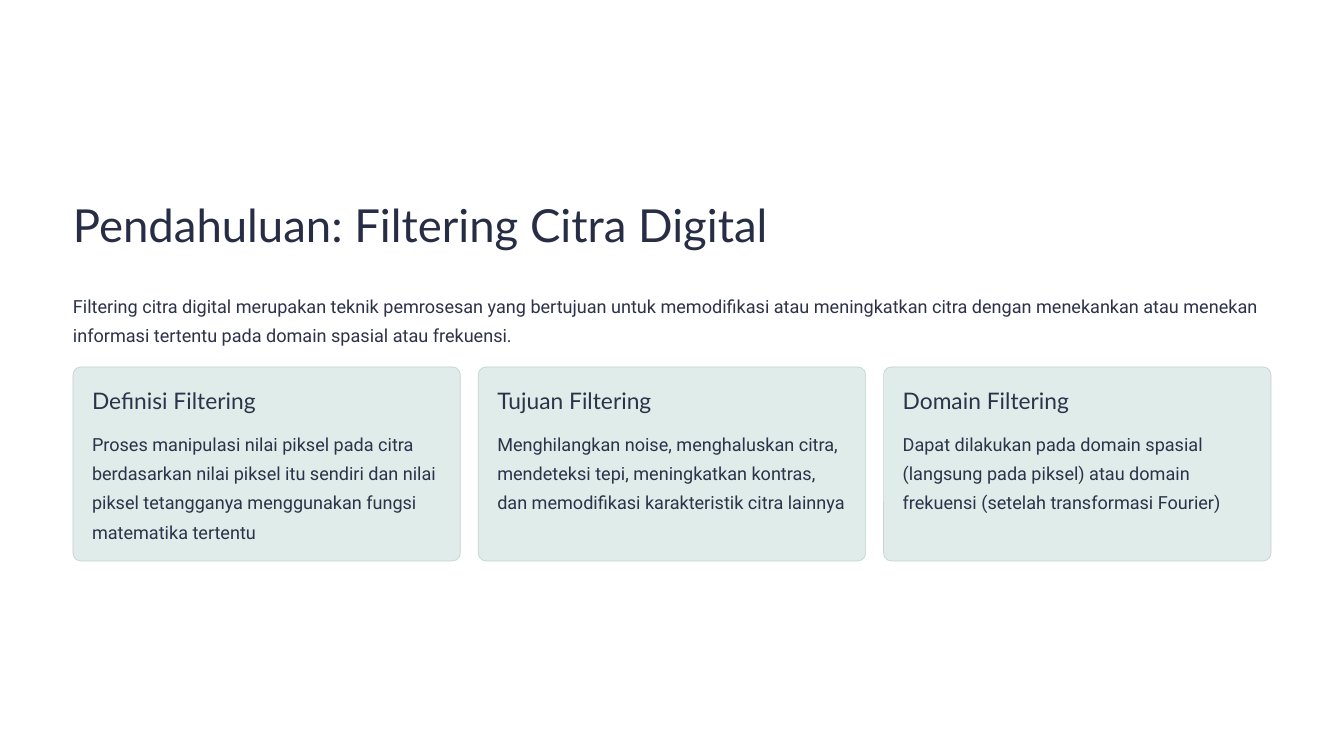
from pptx import Presentation
from pptx.dml.color import RGBColor
from pptx.enum.shapes import MSO_SHAPE
from pptx.enum.text import MSO_ANCHOR, MSO_AUTO_SIZE, PP_ALIGN
from pptx.util import Pt

ROUNDED = MSO_SHAPE.ROUNDED_RECTANGLE
TOP, NO_FIT, LEFT = MSO_ANCHOR.TOP, MSO_AUTO_SIZE.NONE, PP_ALIGN.LEFT
TITLE_ONLY = 5
EMU_PER_PX = 914400 / 84

INK = "2C3249"
CARDS = [
    ("Definisi Filtering",
     "Proses manipulasi nilai piksel pada citra berdasarkan nilai piksel itu sendiri "
     "dan nilai piksel tetangganya menggunakan fungsi matematika tertentu"),
    ("Tujuan Filtering",
     "Menghilangkan noise, menghaluskan citra, mendeteksi tepi, meningkatkan kontras, "
     "dan memodifikasi karakteristik citra lainnya"),
    ("Domain Filtering",
     "Dapat dilakukan pada domain spasial (langsung pada piksel) atau domain frekuensi "
     "(setelah transformasi Fourier)"),
]


def px(length):
    return round(length * EMU_PER_PX)


def color(value):
    return RGBColor.from_string(value)


def write(shape, text, font="Roboto", size=15.5, spacing=25, ink=INK):
    frame = shape.text_frame
    frame.word_wrap = True
    frame.auto_size = NO_FIT
    frame.vertical_anchor = TOP
    frame.margin_left = frame.margin_top = frame.margin_right = frame.margin_bottom = 0
    frame.text = text
    paragraph = frame.paragraphs[0]
    paragraph.alignment = LEFT
    paragraph.line_spacing = Pt(spacing)
    paragraph.space_before = Pt(0)
    run_font = paragraph.runs[0].font
    run_font.name, run_font.size = font, Pt(size)
    run_font.color.rgb = color(ink)


def add_text(slide, left, top, width, height, text, **style):
    box = slide.shapes.add_textbox(px(left), px(top), px(width), px(height))
    write(box, text, **style)


def add_header(slide, left, top, width):
    # Title and introduction
    title = slide.shapes.title
    title.left, title.top = px(left), px(top)
    title.width, title.height = px(width), px(57)
    write(title, "Pendahuluan: Filtering Citra Digital",
          font="Lato", size=39, spacing=48.5, ink="272D45")
    add_text(slide, left, top + 93, width, 58,
             "Filtering citra digital merupakan teknik pemrosesan yang bertujuan untuk "
             "memodifikasi atau meningkatkan citra dengan menekankan atau menekan "
             "informasi tertentu pada domain spasial atau frekuensi.")


def add_card(slide, left, top, width, height, heading, body):
    # Panel with a heading above its explanation
    panel = slide.shapes.add_shape(ROUNDED, px(left), px(top), px(width), px(height))
    panel.adjustments[0] = 0.04
    panel.shadow.inherit = False
    panel.fill.solid()
    panel.fill.fore_color.rgb = color("DFECE9")
    panel.line.color.rgb = color("C5D2CF")
    panel.line.width = Pt(0.6)
    inset = 19
    inner_width = width - 2 * inset
    add_text(slide, left + inset, top + inset, inner_width, 29, heading,
             font="Lato", size=19.5, spacing=24)
    add_text(slide, left + inset, top + 59, inner_width, 117, body)


def add_card_row(slide, left, top, width, height, gap=18):
    # Equal cards across the row
    card_width = (width - gap * (len(CARDS) - 1)) / len(CARDS)
    for index, (heading, body) in enumerate(CARDS):
        add_card(slide, left + index * (card_width + gap), top,
                 card_width, height, heading, body)


def main():
    presentation = Presentation()
    presentation.slide_width, presentation.slide_height = px(1344), px(756)
    slide = presentation.slides.add_slide(presentation.slide_layouts[TITLE_ONLY])
    slide.background.fill.solid()
    slide.background.fill.fore_color.rgb = color("FFFFFF")
    add_header(slide, 73, 195, 1198)
    add_card_row(slide, 73, 367, 1198, 194)
    presentation.save("out.pptx")


if __name__ == "__main__":
    main()
